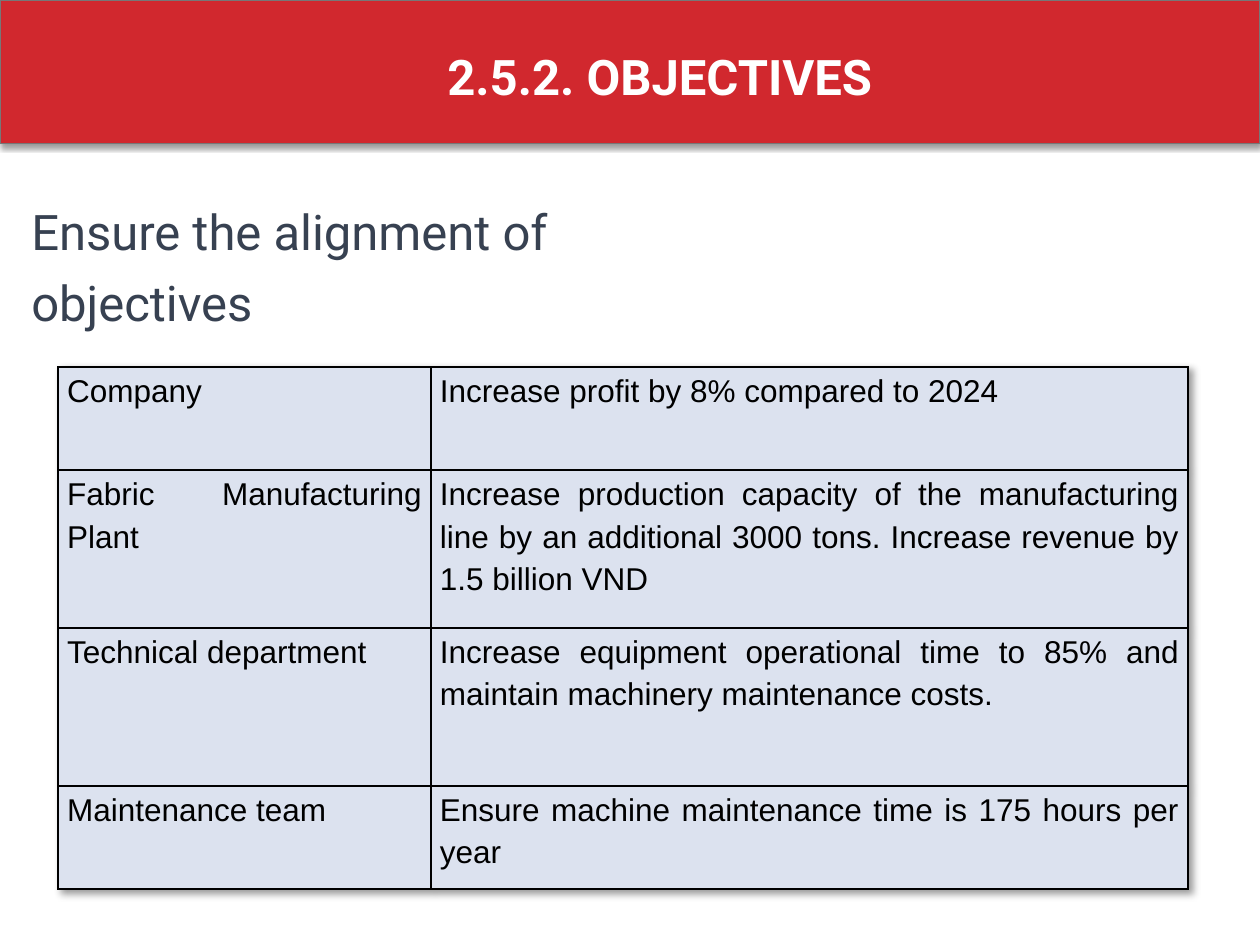
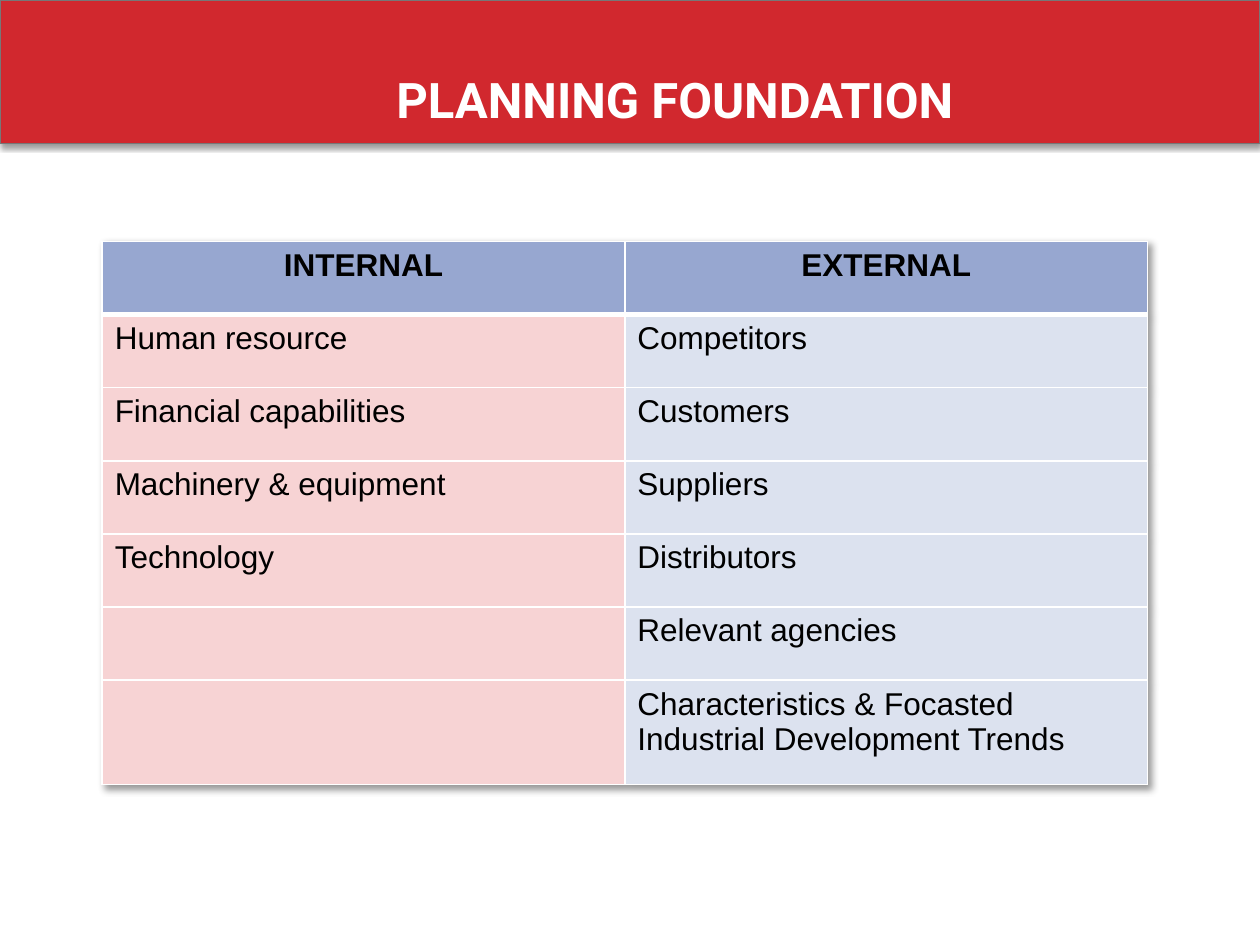
from lxml import etree
from pptx import Presentation
from pptx.dml.color import RGBColor
from pptx.enum.shapes import MSO_SHAPE
from pptx.enum.text import MSO_ANCHOR, PP_ALIGN
from pptx.oxml import parse_xml
from pptx.oxml.ns import nsdecls, qn
from pptx.util import Pt

RECTANGLE = MSO_SHAPE.RECTANGLE
TOP = MSO_ANCHOR.TOP
LEFT, CENTER, JUSTIFY = PP_ALIGN.LEFT, PP_ALIGN.CENTER, PP_ALIGN.JUSTIFY

COLORS = {
    "band": "D1282E", "band line": "777777", "white": "FFFFFF",
    "black": "000000", "slate": "374151", "pale blue": "DCE2EF",
    "blue": "97A7D0", "pink": "F7D3D4",
}
SHADOW = (
    '<a:effectLst %s><a:outerShdw blurRad="%d" dist="%d" dir="%d" rotWithShape="0">'
    '<a:srgbClr val="000000"><a:alpha val="40000"/></a:srgbClr>'
    '</a:outerShdw></a:effectLst>'
)


def write(frame, text, font, size, color, align=LEFT, bold=False):
    frame.word_wrap = True
    paragraph = frame.paragraphs[0]
    paragraph.alignment = align
    run = paragraph.add_run()
    run.text = text
    run.font.name = font
    run.font.size = Pt(size)
    run.font.bold = bold
    run.font.color.rgb = RGBColor.from_string(COLORS[color])
    return paragraph


def add_grid(slide, left, top, widths, heights, border):
    """Add an unstyled table with a soft shadow and one border colour."""
    grid = slide.shapes.add_table(
        len(heights), len(widths), Pt(left), Pt(top), Pt(sum(widths)), Pt(sum(heights))
    ).table
    grid.first_row = grid.horz_banding = False
    for column, width in zip(grid.columns, widths):
        column.width = Pt(width)
    for row, height in zip(grid.rows, heights):
        row.height = Pt(height)
    shadow = parse_xml(SHADOW % (nsdecls("a"), Pt(4), Pt(3), 2700000))
    grid._tbl.tblPr.insert(0, shadow)
    for cell in grid.iter_cells():
        properties = cell._tc.get_or_add_tcPr()
        for side in ("lnL", "lnR", "lnT", "lnB"):
            line = etree.SubElement(properties, qn(f"a:{side}"), w=str(Pt(1)))
            fill = etree.SubElement(line, qn("a:solidFill"))
            etree.SubElement(fill, qn("a:srgbClr"), val=COLORS[border])
    return grid


prs = Presentation()
prs.slide_width, prs.slide_height = Pt(720), Pt(540)

# Red band and title on every slide
slides = []
for title, left, top in (("2.5.2. OBJECTIVES", 49.7, 23), ("PLANNING FOUNDATION", 58.3, 36)):
    slide = prs.slides.add_slide(prs.slide_layouts[6])
    band = slide.shapes.add_shape(RECTANGLE, 0, 0, Pt(720), Pt(82))
    band.fill.solid()
    band.fill.fore_color.rgb = RGBColor.from_string(COLORS["band"])
    band.line.color.rgb = RGBColor.from_string(COLORS["band line"])
    band.line.width = Pt(1)
    band._element.spPr.append(parse_xml(SHADOW % (nsdecls("a"), Pt(3.1), Pt(1.8), 5400000)))
    title_box = slide.shapes.add_textbox(Pt(left), Pt(top), Pt(654.5), Pt(41))
    write(title_box.text_frame, title, "Roboto", 28, "white", CENTER, True)
    slides.append(slide)
objectives_slide, foundation_slide = slides

# Objectives: lead sentence
lead_box = objectives_slide.shapes.add_textbox(Pt(10.8), Pt(105.1), Pt(427.7), Pt(301.7))
lead_box.text_frame.vertical_anchor = TOP
lead = write(lead_box.text_frame, "Ensure the alignment of objectives", "Roboto", 28, "slate")
lead.line_spacing = 1.2
lead.space_after = Pt(6)

# Objectives: one row per level of the company
objectives = [
    ("Company", "Increase profit by 8% compared to 2024"),
    ("Fabric Manufacturing Plant",
     "Increase production capacity of the manufacturing line by an additional "
     "3000 tons. Increase revenue by 1.5 billion VND"),
    ("Technical department",
     "Increase equipment operational time to 85% and maintain machinery maintenance costs."),
    ("Maintenance team", "Ensure machine maintenance time is 175 hours per year"),
]
grid = add_grid(objectives_slide, 33.2, 209.6, [213, 432.7], [59.1, 90.2, 90.2, 59.1], "black")
for r, row in enumerate(objectives):
    for c, text in enumerate(row):
        cell = grid.cell(r, c)
        cell.margin_left = cell.margin_right = Pt(5.2)
        cell.margin_top = cell.margin_bottom = 0
        cell.fill.solid()
        cell.fill.fore_color.rgb = RGBColor.from_string(COLORS["pale blue"])
        paragraph = write(cell.text_frame, text, "Arial", 18, "black", JUSTIFY)
        paragraph.line_spacing = 1.2
        paragraph.space_after = Pt(6)

# Planning foundation: internal and external factors
factors = [
    ("INTERNAL", "pink",
     ["Human resource", "Financial capabilities", "Machinery & equipment", "Technology", "", ""]),
    ("EXTERNAL", "pale blue",
     ["Competitors", "Customers", "Suppliers", "Distributors", "Relevant agencies",
      "Characteristics & Focasted Industrial Development Trends"]),
]
grid = add_grid(foundation_slide, 58.4, 138, [298.7] * 2, [41.8] * 6 + [59.6], "white")
for c, (heading, tint, entries) in enumerate(factors):
    for r, text in enumerate([heading] + entries):
        is_heading = r == 0
        cell = grid.cell(r, c)
        cell.fill.solid()
        cell.fill.fore_color.rgb = RGBColor.from_string(COLORS["blue" if is_heading else tint])
        if text:
            write(cell.text_frame, text, "Arial", 18, "black",
                  CENTER if is_heading else LEFT, is_heading)
    # Thick rule between the heading and the entries
    for r, side in ((0, "lnB"), (1, "lnT")):
        grid.cell(r, c)._tc.tcPr.find(qn(f"a:{side}")).set("w", str(Pt(3)))

prs.save("out.pptx")
